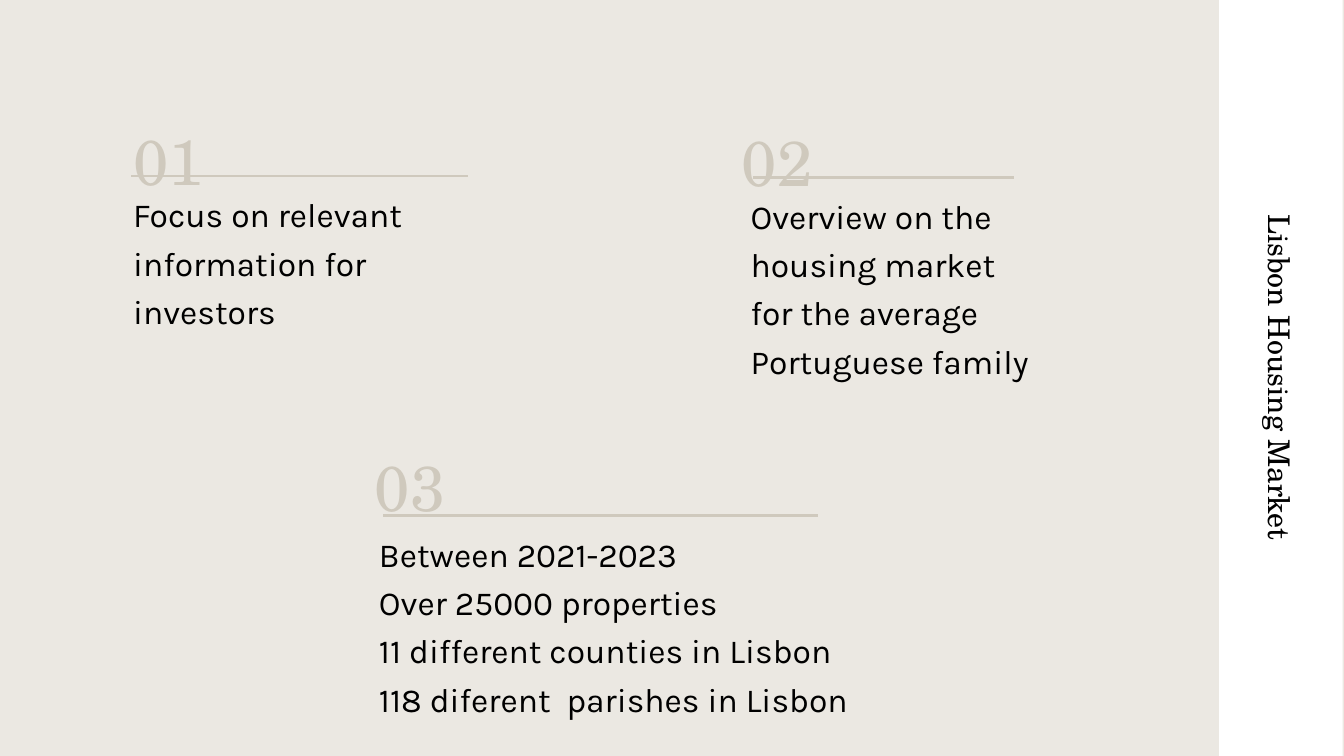
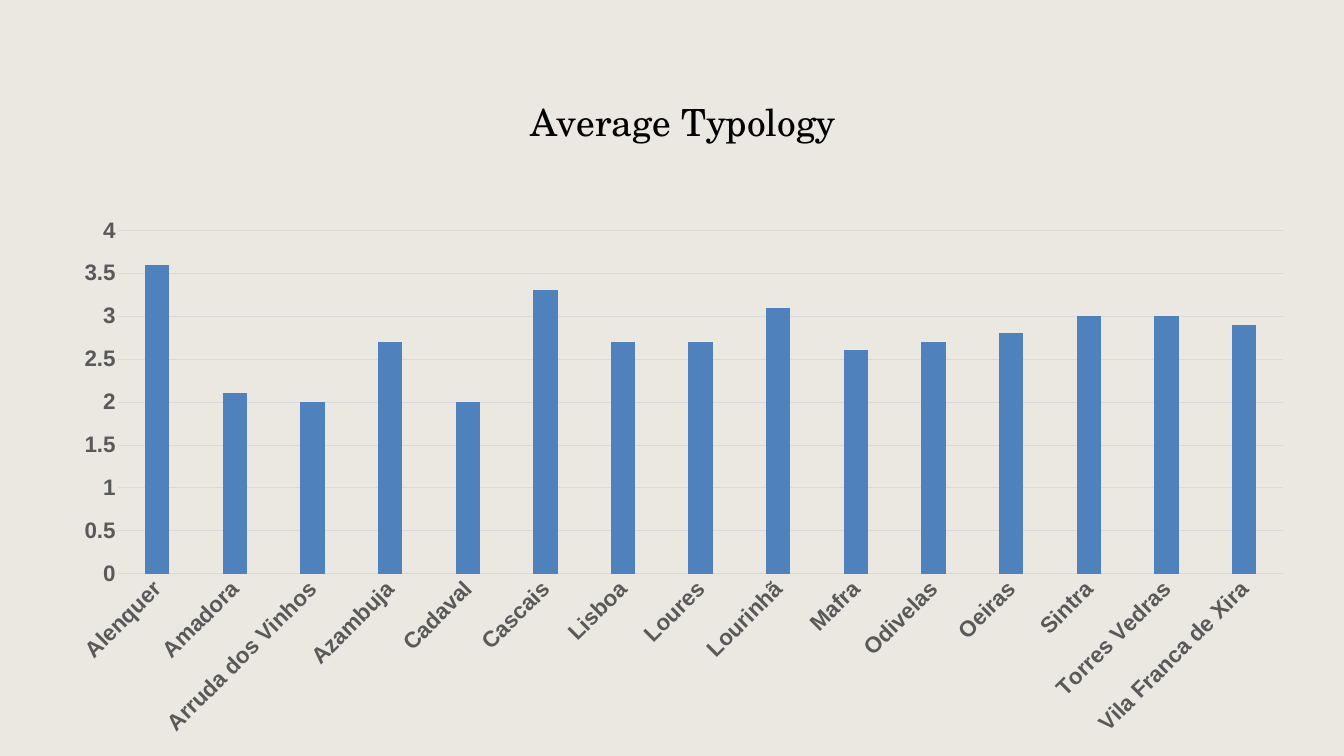
from dataclasses import dataclass

from lxml import etree
from pptx import Presentation
from pptx.chart.data import CategoryChartData
from pptx.dml.color import RGBColor
from pptx.enum.chart import XL_CHART_TYPE, XL_TICK_MARK
from pptx.enum.shapes import MSO_CONNECTOR, MSO_SHAPE
from pptx.enum.text import MSO_ANCHOR, PP_ALIGN
from pptx.oxml import parse_xml
from pptx.oxml.ns import nsdecls, qn
from pptx.util import Pt

COLUMN = XL_CHART_TYPE.COLUMN_CLUSTERED
NO_TICK = XL_TICK_MARK.NONE
STRAIGHT = MSO_CONNECTOR.STRAIGHT
RECT = MSO_SHAPE.RECTANGLE
MIDDLE = MSO_ANCHOR.MIDDLE
CENTER = PP_ALIGN.CENTER

PX = 9144  # 100 px to the inch
WIDE, HIGH = 2000, 1125

HUES = {
    "paper": "EBE8E2", "sand": "CFC9BD", "ink": "000000", "white": "FFFFFF",
    "grey": "595959", "grid": "D9D9D9", "bar": "4F81BD",
}
SERIF = "TeX Gyre Schola"
STYLES = {
    "number": {"name": SERIF, "size": Pt(68), "hue": "sand"},
    "body": {"name": "Karla", "size": Pt(36), "hue": "ink"},
    "banner": {"name": SERIF, "size": Pt(32), "hue": "ink"},
    "title": {"name": SERIF, "size": Pt(40), "bold": False, "hue": "ink"},
    "label": {"name": "Arial", "size": Pt(24), "bold": True, "hue": "grey"},
}

TOWNS = {
    "Alenquer": 3.6, "Amadora": 2.1, "Arruda dos Vinhos": 2,
    "Azambuja": 2.7, "Cadaval": 2, "Cascais": 3.3, "Lisboa": 2.7,
    "Loures": 2.7, "Lourinhã": 3.1, "Mafra": 2.6, "Odivelas": 2.7,
    "Oeiras": 2.8, "Sintra": 3, "Torres Vedras": 3,
    "Vila Franca de Xira": 2.9,
}


@dataclass
class Box:
    left: int
    top: int
    width: int
    height: int

    def emu(self) -> tuple:
        return tuple(v * PX for v in (self.left, self.top, self.width, self.height))


@dataclass
class Point:
    number: str
    head: tuple  # left and top of the number
    rule: tuple  # left, right and height of the line
    body: Box
    lines: list


POINTS = [
    Point("01", (198, 137), (195, 697, 262), Box(198, 277, 502, 218),
          ["Focus on relevant information for investors"]),
    Point("02", (1104, 139), (1121, 1509, 264), Box(1117, 279, 434, 291),
          ["Overview on the housing market for the average Portuguese family"]),
    Point("03", (558, 622), (570, 1217, 767), Box(564, 782, 724, 291),
          ["Between 2021-2023", "Over 25000 properties",
           "11 different counties in Lisbon", "118 diferent  parishes in Lisbon"]),
]


def color(hue: str) -> RGBColor:
    return RGBColor.from_string(HUES[hue])


def paint(fill, hue: str) -> None:
    fill.solid()
    fill.fore_color.rgb = color(hue)


def style(font, kind: str) -> None:
    for key, value in STYLES[kind].items():
        if key == "hue":
            paint(font.fill, value)
        else:
            setattr(font, key, value)


def write(frame, lines: list, kind: str, space: float, align=None) -> None:
    sides = ("left", "right", "top", "bottom")
    flags = {f"margin_{side}": 0 for side in sides} | {"word_wrap": True}
    for key, value in flags.items():
        setattr(frame, key, value)
    for i, line in enumerate(lines):
        para = frame.add_paragraph() if i else frame.paragraphs[0]
        para.line_spacing = space
        para.alignment = align
        run = para.add_run()
        run.text = line
        style(run.font, kind)


def add_page(deck):
    page = deck.slides.add_slide(deck.slide_layouts[6])
    paint(page.background.fill, "paper")
    return page


def add_text(page, box: Box, lines: list, kind: str, space: float) -> None:
    write(page.shapes.add_textbox(*box.emu()).text_frame, lines, kind, space)


def add_point(page, point: Point) -> None:
    add_text(page, Box(*point.head, 134, 114), [point.number], "number", 1.39)
    add_text(page, point.body, point.lines, "body", 1.2)
    start, end, y = (v * PX for v in point.rule)
    rule = page.shapes.add_connector(STRAIGHT, start, y, end, y)
    rule.line.width = Pt(3)
    paint(rule.line.fill, "sand")
    etree.SubElement(rule._element.spPr, qn("a:effectLst"))


def add_banner(page, box: Box, text: str) -> None:
    band = page.shapes.add_shape(RECT, *box.emu())
    band.rotation = 90
    band.shadow.inherit = False
    paint(band.fill, "white")
    band.line.fill.background()
    band.text_frame.vertical_anchor = MIDDLE
    write(band.text_frame, [text], "banner", 1.0, CENTER)


def lay_out(part, index: int, **spots: float) -> None:
    """Fix a chart part at shares of the chart's size."""
    for old in part.findall(qn("c:layout")):
        part.remove(old)
    inner = '<c:layoutTarget val="inner"/>' if "w" in spots else ""
    modes = "".join(f'<c:{key}Mode val="edge"/>' for key in ("x", "y"))
    sizes = "".join(f'<c:{key} val="{value}"/>' for key, value in spots.items())
    part.insert(index, parse_xml(
        f'<c:layout {nsdecls("c")}><c:manualLayout>{inner}{modes}{sizes}'
        "</c:manualLayout></c:layout>"))


def add_chart(page, box: Box, title: str) -> None:
    data = CategoryChartData()
    data.categories = list(TOWNS)
    data.add_series("Series 1", list(TOWNS.values()))
    chart = page.shapes.add_chart(COLUMN, *box.emu(), data).chart
    chart.has_legend = False

    # Title and plot area
    chart.has_title = True
    para = chart.chart_title.text_frame.paragraphs[0]
    run = para.add_run()
    run.text = title
    style(run.font, "title")
    lay_out(chart.chart_title._element, 1, x=0.38, y=0.04)
    lay_out(chart._chartSpace.chart.plotArea, 0, x=0.06, y=0.25, w=0.92, h=0.49)

    # Columns
    plot = chart.plots[0]
    for key, value in {"gap_width": 219, "overlap": -27, "vary_by_categories": False}.items():
        setattr(plot, key, value)
    paint(plot.series[0].format.fill, "bar")

    # Axes
    towns, scale = chart.category_axis, chart.value_axis
    for axis in (towns, scale):
        axis.major_tick_mark = axis.minor_tick_mark = NO_TICK
        style(axis.tick_labels.font, "label")
    for key, value in {"minimum_scale": 0, "maximum_scale": 4, "major_unit": 0.5}.items():
        setattr(scale, key, value)
    scale.format.line.fill.background()
    towns._element.txPr.bodyPr.set("rot", "-2700000")
    for line in (towns.format.line, scale.major_gridlines.format.line):
        line.width = Pt(0.75)
        paint(line.fill, "grid")


def main() -> None:
    deck = Presentation()
    deck.slide_width, deck.slide_height = WIDE * PX, HIGH * PX

    # Slide 1: three points and the side banner
    page = add_page(deck)
    for point in POINTS:
        add_point(page, point)
    add_banner(page, Box(1342, 469, 1128, 184), "Lisbon Housing Market")

    # Slide 2: column chart
    add_chart(add_page(deck), Box(63, 82, 1884, 1043), "Average Typology")
    deck.save("out.pptx")


if __name__ == "__main__":
    main()
